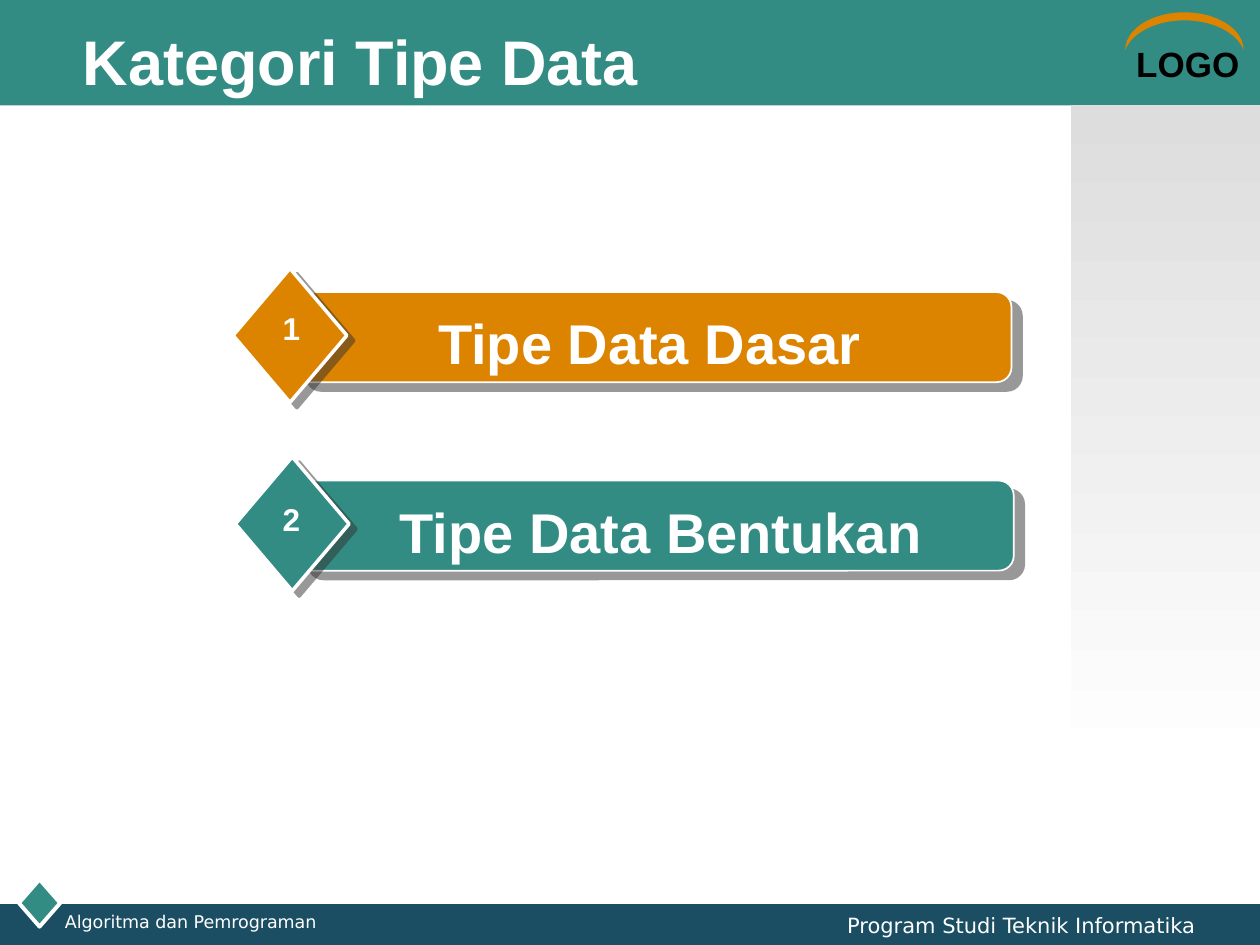
from lxml.etree import SubElement
from pptx import Presentation
from pptx.dml.color import RGBColor
from pptx.enum.shapes import MSO_SHAPE as Shape
from pptx.enum.text import MSO_ANCHOR as Anchor, MSO_AUTO_SIZE as AutoSize, PP_ALIGN as Align
from pptx.oxml.ns import qn
from pptx.util import Pt

TEAL = RGBColor(0x32, 0x8C, 0x83)
NAVY = RGBColor(0x1B, 0x4E, 0x63)
ORANGE = RGBColor(0xDC, 0x83, 0x00)
GREY = RGBColor(0xDD, 0xDD, 0xDD)
SHADOW = RGBColor(0x33, 0x33, 0x33)
WHITE = RGBColor(0xFF, 0xFF, 0xFF)
BLACK = RGBColor(0, 0, 0)

# Content
TITLE = "Kategori Tipe Data"
COURSE = "Algoritma dan Pemrograman"
PROGRAM = "Program Studi Teknik Informatika"
# number, label, colour, left of the diamond, left of the label, top of the number
CATEGORIES = [
    ("1", "Tipe Data Dasar", ORANGE, 133.2, 209.5, 172.8),
    ("2", "Tipe Data Bentukan", TEAL, 134.5, 216, 282.2),
]
FIRST_TOP, ROW_PITCH = 153.4, 107.7


def add_block(shapes, kind, box, fill, line=None, shadow=None):
    """Filled shape; line is a width, shadow is (distance, degrees)."""
    block = shapes.add_shape(kind, *map(Pt, box))
    block.shadow.inherit = False
    block.fill.solid()
    block.fill.fore_color.rgb = fill
    if line:
        block.line.color.rgb = WHITE
        block.line.width = Pt(line)
    else:
        block.line.fill.background()
    if shadow:
        distance, degrees = shadow
        effects = block._element.spPr.find(qn("a:effectLst"))
        outer = SubElement(effects, qn("a:outerShdw"), blurRad="0",
                           dist=str(int(Pt(distance))), dir=str(degrees * 60000),
                           algn="ctr", rotWithShape="0")
        colour = SubElement(outer, qn("a:srgbClr"), val=str(SHADOW))
        SubElement(colour, qn("a:alpha"), val="50000")
    return block


def add_text(shapes, box, text, size, font="Arial", colour=WHITE, bold=True,
             align=Align.LEFT, anchor=Anchor.TOP, grow=False):
    frame = shapes.add_textbox(*map(Pt, box)).text_frame
    frame.word_wrap = True
    frame.vertical_anchor = anchor
    frame.auto_size = AutoSize.SHAPE_TO_FIT_TEXT if grow else AutoSize.NONE
    paragraph = frame.paragraphs[0]
    paragraph.alignment = align
    run = paragraph.add_run()
    run.text = text
    run.font.size = Pt(size)
    run.font.name = font
    run.font.bold = bold
    run.font.color.rgb = colour


prs = Presentation()
prs.slide_width, prs.slide_height = Pt(720), Pt(540)
slide = prs.slides.add_slide(prs.slide_layouts[6])
shapes = slide.shapes

# Header and footer bands
add_block(shapes, Shape.RECTANGLE, (0, 0, 720, 60.3), TEAL)
add_block(shapes, Shape.RECTANGLE, (0, 516.7, 720, 23.3), NAVY)
add_block(shapes, Shape.DIAMOND, (10.8, 502.5, 23.6, 27), TEAL, line=2.25)

# Placeholder mark in the corner
add_text(shapes, (642.2, 20.9, 77.8, 31.7), "LOGO", 20, colour=BLACK, grow=True)
arc = add_block(shapes, Shape.MOON, (666, -16, 21.6, 67.7), ORANGE)
arc.adjustments[0] = 0.212
arc.rotation = 90

# Fading side panel
panel = add_block(shapes, Shape.RECTANGLE, (612, 60, 108, 378), GREY)
panel.fill.gradient()
panel.fill.gradient_angle = 270
for stop, colour, position in zip(panel.fill.gradient_stops, (GREY, WHITE), (0, 1)):
    stop.color.rgb = colour
    stop.position = position

# Footer and title text
add_text(shapes, (30, 517, 192, 16.6), COURSE, 10, font="DejaVu Sans", bold=False)
add_text(shapes, (405.3, 517.7, 285, 17.3), PROGRAM, 12, font="DejaVu Sans",
         bold=False, align=Align.RIGHT)
add_text(shapes, (40.3, 12.2, 572.4, 44.6), TITLE, 36, anchor=Anchor.MIDDLE)

# Numbered categories
for row, (number, label, colour, left, label_left, number_top) in enumerate(CATEGORIES):
    top = FIRST_TOP + row * ROW_PITCH
    category = shapes.add_group_shape().shapes
    bar = add_block(category, Shape.ROUNDED_RECTANGLE, (left + 35.8, top + 13.5, 409, 51.5),
                    colour, line=1, shadow=(7.8, 40))
    bar.adjustments[0] = 0.167
    add_block(category, Shape.DIAMOND, (left, top, 65, 76.6), colour, line=2, shadow=(5, 37))
    add_text(category, (label_left, top + 19.5, 323.3, 46), label, 32,
             align=Align.CENTER, grow=True)
    add_text(category, (151.2, number_top, 30.6, 29), number, 18,
             align=Align.CENTER, grow=True)

prs.save("out.pptx")
